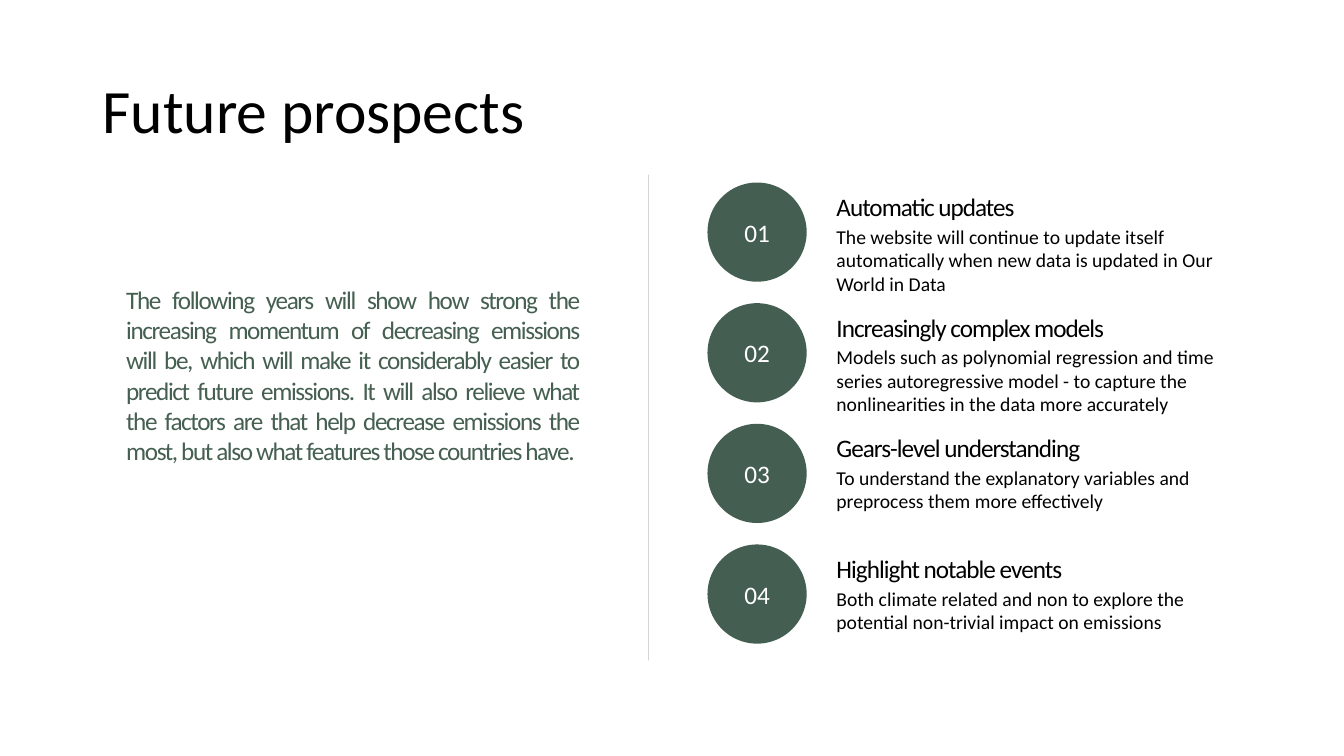
import pptx
import pptx.dml.color
import pptx.enum.shapes
import pptx.enum.text
import pptx.oxml
import pptx.oxml.ns
import pptx.util

Cm = pptx.util.Cm
Pt = pptx.util.Pt
RGBColor = pptx.dml.color.RGBColor
Align = pptx.enum.text.PP_ALIGN
Anchor = pptx.enum.text.MSO_ANCHOR

BLACK = RGBColor(0x00, 0x00, 0x00)
WHITE = RGBColor(0xFF, 0xFF, 0xFF)
GRAY = RGBColor(0x7F, 0x7F, 0x7F)
TEXT_GREEN = RGBColor(0x45, 0x5F, 0x51)
CIRCLE_GREEN = RGBColor(0x44, 0x5F, 0x51)

OUTLOOK = (
    "The following years will show how strong the increasing momentum of decreasing "
    "emissions will be, which will make it considerably easier to predict future emissions. "
    "It will also relieve what the factors are that help decrease emissions the most, "
    "but also what features those countries have."
)
PROSPECTS = [
    ("Automatic updates",
     "The website will continue to update itself automatically when new data is updated "
     "in Our World in Data"),
    ("Increasingly complex models",
     "Models such as polynomial regression and time series autoregressive model - to capture "
     "the nonlinearities in the data more accurately"),
    ("Gears-level understanding",
     "To understand the explanatory variables and preprocess them more effectively"),
    ("Highlight notable events",
     "Both climate related and non to explore the potential non-trivial impact on emissions"),
]
FIRST_CIRCLE_TOP = 4.6
ROW_PITCH = 3.04
CIRCLE_SIZE = 2.5


class SlideBuilder:
    font_name = "Calibri"

    def __init__(self, page):
        self.page = page

    def add_span(self, para, text, size, color, spacing=0):
        span = para.add_run()
        span.text = text
        span.font.name = self.font_name
        span.font.size = Pt(size)
        span.font.color.rgb = color
        if spacing:
            span.font._element.set("spc", str(round(spacing * 100)))

    def title(self, text, left, top, width, height):
        box = self.page.shapes.title
        box.left, box.top, box.width, box.height = Cm(left), Cm(top), Cm(width), Cm(height)
        frame = box.text_frame
        frame.auto_size = pptx.enum.text.MSO_AUTO_SIZE.NONE
        frame.vertical_anchor = Anchor.MIDDLE
        para = frame.paragraphs[0]
        para.alignment = Align.LEFT
        para.line_spacing = 0.9
        self.add_span(para, text, 44, BLACK)

    def text_box(self, left, top, width, height):
        box = self.page.shapes.add_textbox(Cm(left), Cm(top), Cm(width), Cm(height))
        box.text_frame.word_wrap = True
        return box.text_frame

    def statement(self, text, left, top, width, height):
        para = self.text_box(left, top, width, height).paragraphs[0]
        para.alignment = Align.JUSTIFY
        self.add_span(para, text, 18, TEXT_GREEN, -1)

    def prospect(self, heading, detail, left, top, width, height):
        frame = self.text_box(left, top, width, height)
        heading_para = frame.paragraphs[0]
        detail_para = frame.add_paragraph()
        heading_para.space_after = detail_para.space_after = Pt(2)
        self.add_span(heading_para, heading, 18, BLACK, -0.7)
        self.add_span(detail_para, detail, 14, BLACK)

    def circle(self, label, left, top, size):
        shape = self.page.shapes.add_shape(
            pptx.enum.shapes.MSO_SHAPE.OVAL, Cm(left), Cm(top), Cm(size), Cm(size))
        shape.shadow.inherit = False
        shape.fill.solid()
        shape.fill.fore_color.rgb = CIRCLE_GREEN
        shape.line.fill.background()
        shape.text_frame.vertical_anchor = Anchor.MIDDLE
        para = shape.text_frame.paragraphs[0]
        para.alignment = Align.CENTER
        self.add_span(para, label, 18, WHITE)

    def divider(self, left, top, bottom):
        line = self.page.shapes.add_connector(
            pptx.enum.shapes.MSO_CONNECTOR.STRAIGHT, Cm(left), Cm(top), Cm(left), Cm(bottom))
        line.line.width = Pt(0.5)
        line.line.color.rgb = GRAY
        properties = line._element.spPr
        color = properties.find(".//" + pptx.oxml.ns.qn("a:srgbClr"))
        color.append(pptx.oxml.parse_xml(
            f'<a:alpha {pptx.oxml.ns.nsdecls("a")} val="50000"/>'))
        properties.append(pptx.oxml.parse_xml(
            f'<a:effectLst {pptx.oxml.ns.nsdecls("a")}/>'))


def main():
    deck = pptx.Presentation()
    deck.slide_width = Cm(33.87)
    deck.slide_height = Cm(19.05)
    builder = SlideBuilder(deck.slides.add_slide(deck.slide_layouts.get_by_name("Title Only")))

    builder.title("Future prospects", 2.33, 1.01, 29.21, 3.68)
    builder.statement(OUTLOOK, 2.93, 7.04, 11.91, 5.64)
    builder.divider(16.34, 4.4, 16.64)
    for index, (heading, detail) in enumerate(PROSPECTS):
        top = FIRST_CIRCLE_TOP + index * ROW_PITCH
        builder.circle(f"{index + 1:02d}", 17.83, top, CIRCLE_SIZE)
        builder.prospect(heading, detail, 20.83, top + 0.1, 11.13, 2.6)

    deck.save("out.pptx")


if __name__ == "__main__":
    main()
